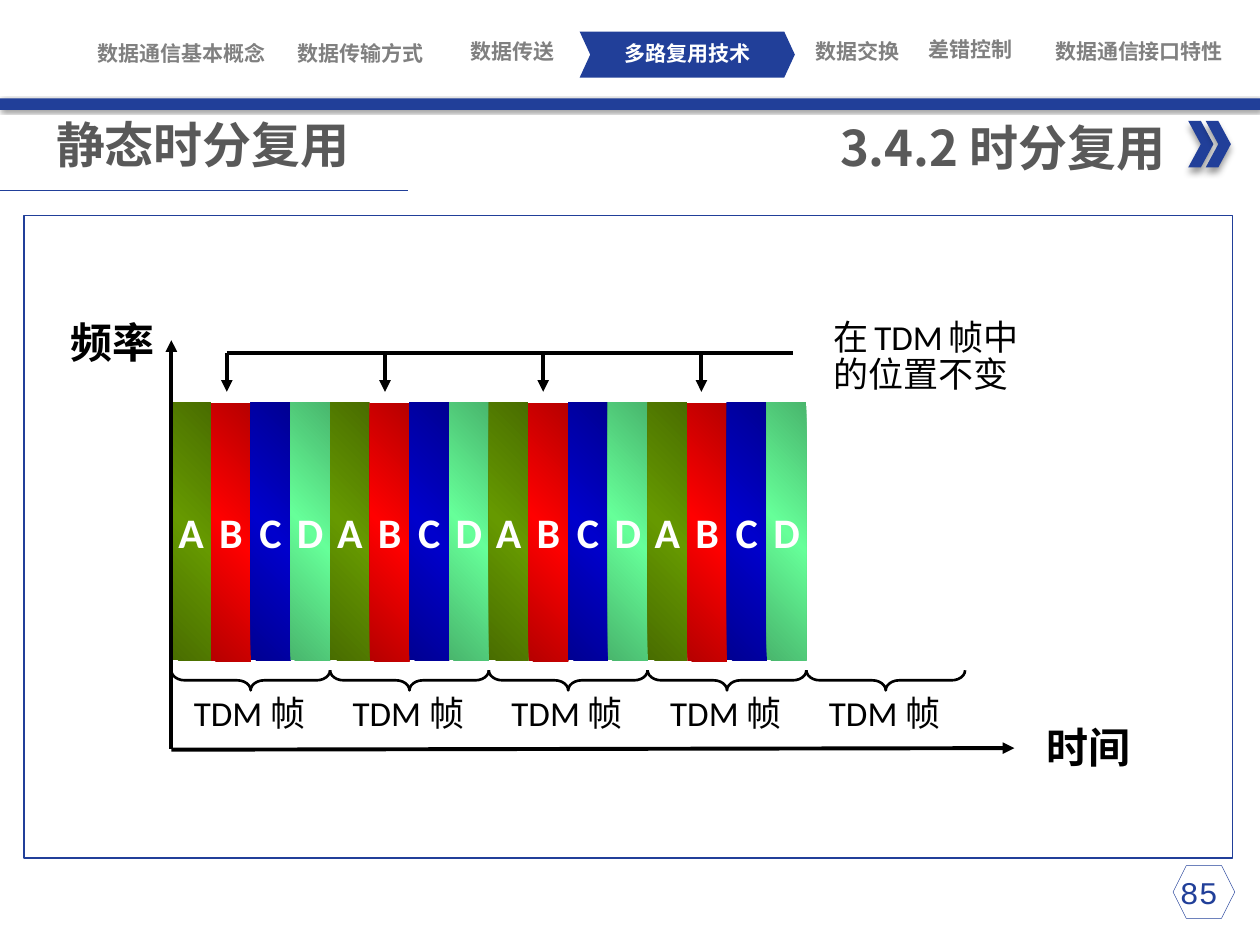
from copy import deepcopy
from dataclasses import dataclass

from lxml import etree
from pptx import Presentation
from pptx.dml.color import RGBColor
from pptx.enum import shapes, text
from pptx.oxml import ns
from pptx.util import Pt

Kind = shapes.MSO_SHAPE
Side = text.PP_ALIGN
Hold = text.MSO_ANCHOR


@dataclass(frozen=True)
class Theme:
    blue: str = "213F99"
    gray: str = "808080"
    dark: str = "595959"
    black: str = "000000"
    white: str = "FFFFFF"
    han: str = "Noto Sans CJK SC"
    body: str = "Calibri"
    menu: str = "Roboto Condensed"
    mono: str = "Courier New"
    head: float = 28
    name: float = 24
    note: float = 20
    gap: float = 14
    page: float = 18
    tab: float = 12


@dataclass(frozen=True)
class Box:
    x: float
    y: float
    w: float
    h: float

    def pts(self) -> tuple:
        return Pt(self.x), Pt(self.y), Pt(self.w), Pt(self.h)


@dataclass(frozen=True)
class Style:
    size: float
    font: str
    ink: str
    bold: bool = False


@dataclass(frozen=True)
class Tab:
    label: str
    box: Box
    live: bool = False


@dataclass(frozen=True)
class Slot:
    label: str
    edge: str
    core: str
    drop: float = 0


@dataclass(frozen=True)
class Shade:
    blur: float
    dist: float
    turn: int


T = Theme()
TABS = [
    Tab("数据通信基本概念", Box(51.5, 23, 104.4, 14.4)),
    Tab("数据传输方式", Box(154, 23, 104.4, 14.4)),
    Tab("数据传送", Box(247, 22.3, 91.4, 14.4)),
    Tab("多路复用技术", Box(340.6, 23, 104.4, 14.4), True),
    Tab("数据交换", Box(437.8, 22.3, 104.4, 14.4)),
    Tab("差错控制", Box(502.6, 20.9, 104.4, 14.4)),
    Tab("数据通信接口特性", Box(581.8, 22.3, 138.2, 14.4)),
]
SLOTS = [
    Slot("A", "496D00", "669900"),
    Slot("B", "B60000", "FF0000", 0.5),
    Slot("C", "000092", "0000CC"),
    Slot("D", "49B66D", "66FF99"),
]
LEFT, FRAME, FULL = 97.92, 90.72, 4
STEP = FRAME / len(SLOTS)


def add_run(para, words: str, style: Style) -> None:
    run = para.add_run()
    run.text = words
    font = run.font
    font.size, font.name, font.bold = Pt(style.size), style.font, style.bold
    font.color.rgb = RGBColor.from_string(style.ink)
    east = etree.SubElement(run._r.get_or_add_rPr(), ns.qn("a:ea"))
    east.set("typeface", T.han)


def add_text(slide, box: Box, rows: list, side=Side.LEFT, pad: bool = True,
             wrap: bool = False, pitch: float = 1.0):
    frame = slide.shapes.add_textbox(*box.pts()).text_frame
    frame.word_wrap = wrap
    if not pad:
        frame.margin_left = frame.margin_right = Pt(0)
        frame.margin_top = frame.margin_bottom = Pt(0)
        frame.vertical_anchor = Hold.MIDDLE
    for i, row in enumerate(rows):
        para = frame.add_paragraph() if i else frame.paragraphs[0]
        para.alignment, para.line_spacing = side, pitch
        for words, style in row:
            add_run(para, words, style)


def add_shape(slide, kind, box: Box, fill: str = "", line: str = "", width: float = 0):
    shape = slide.shapes.add_shape(kind, *box.pts())
    shape.shadow.inherit = False
    if fill:
        shape.fill.solid()
        shape.fill.fore_color.rgb = RGBColor.from_string(fill)
    else:
        shape.fill.background()
    if line:
        shape.line.color.rgb = RGBColor.from_string(line)
        shape.line.width = Pt(width)
    else:
        shape.line.fill.background()
    return shape


def add_shade(shape, shade: Shade) -> None:
    effect = shape._element.spPr.find(ns.qn("a:effectLst"))
    outer = etree.SubElement(effect, ns.qn("a:outerShdw"), blurRad=str(int(Pt(shade.blur))),
                             dist=str(int(Pt(shade.dist))), dir=str(shade.turn * 60000),
                             algn="tl", rotWithShape="0")
    color = etree.SubElement(outer, ns.qn("a:srgbClr"), val=T.black)
    etree.SubElement(color, ns.qn("a:alpha"), val="40000")


def add_line(slide, x: float, y: float, to_x: float, to_y: float, ink: str = T.black,
             width: float = 2.25, arrow: bool = False) -> None:
    line = slide.shapes.add_connector(shapes.MSO_CONNECTOR.STRAIGHT,
                                      Pt(x), Pt(y), Pt(to_x), Pt(to_y))
    line.line.color.rgb = RGBColor.from_string(ink)
    line.line.width = Pt(width)
    if arrow:
        etree.SubElement(line.line._get_or_add_ln(), ns.qn("a:tailEnd"), type="triangle")
    etree.SubElement(line._element.spPr, ns.qn("a:effectLst"))


def add_slot(slide, slot: Slot, x: float) -> None:
    bar = add_shape(slide, Kind.RECTANGLE, Box(x, 229.8 + slot.drop, STEP, 147.6))
    bar.fill.gradient()
    bar.fill.gradient_angle = 45
    stops = bar._element.spPr.find(ns.qn("a:gradFill")).find(ns.qn("a:gsLst"))
    stops.append(deepcopy(stops[0]))
    inks = (slot.edge, slot.core, slot.edge)
    for stop, ink, place in zip(bar.fill.gradient_stops, inks, (0, 0.5, 1)):
        stop.color.rgb = RGBColor.from_string(ink)
        stop.position = place
    frame = bar.text_frame
    frame.word_wrap, frame.vertical_anchor = False, Hold.MIDDLE
    frame.paragraphs[0].alignment = Side.CENTER
    add_run(frame.paragraphs[0], slot.label, Style(T.name, T.body, T.white, True))


def add_frame(slide, x: float) -> None:
    add_text(slide, Box(x + 5.8, 394.6, 86.4, 28.8),
             [[("TDM 帧", Style(T.note, T.body, T.black))]], pitch=0.9)
    mid = x + FRAME / 2
    brace = add_shape(slide, Kind.LEFT_BRACE, Box(mid - 5.75, 343.4, 11.5, FRAME),
                      line=T.black, width=1.5)
    brace.rotation = 270
    brace.adjustments[0] = 0.67


def add_head(slide) -> None:
    add_shape(slide, Kind.CHEVRON, Box(331.2, 18, 123, 26.4), T.blue).adjustments[0] = 0.23
    for tab in TABS:
        ink = T.white if tab.live else T.gray
        add_text(slide, tab.box, [[(tab.label, Style(T.tab, T.menu, ink, True))]],
                 Side.CENTER, pad=False, wrap=True)
    bar = add_shape(slide, Kind.RECTANGLE, Box(0, 56.2, 720, 6.6), T.blue)
    add_shade(bar, Shade(2, 1, 45))
    for x in (679, 689):
        mark = add_shape(slide, Kind.CHEVRON, Box(x, 69.1, 14.4, 26.6), T.blue)
        add_shade(mark, Shade(4, 3, 90))
    style = Style(T.head, T.han, T.dark, True)
    add_text(slide, Box(460, 63.4, 213, 41), [[("3.4.2 时分复用", style)]], Side.RIGHT)
    add_line(slide, 0, 108.7, 233.3, 108.7, T.blue, 0.5)
    title = slide.shapes.title
    title.left, title.top, title.width, title.height = Box(0, 61.9, 344.9, 41).pts()
    frame = title.text_frame
    frame.auto_size, frame.vertical_anchor = text.MSO_AUTO_SIZE.NONE, Hold.TOP
    frame.margin_left = Pt(32)
    frame.paragraphs[0].alignment = Side.LEFT
    add_run(frame.paragraphs[0], "静态时分复用", style)


def add_plot(slide) -> None:
    add_shape(slide, Kind.RECTANGLE, Box(13.7, 123.1, 690.5, 367.2), line=T.blue, width=0.75)
    for i in range(FULL * len(SLOTS)):
        add_slot(slide, SLOTS[i % len(SLOTS)], LEFT + i * STEP)
    for i in range(FULL + 1):
        add_frame(slide, LEFT + i * FRAME)
    add_line(slide, LEFT, 428.4, 579.6, 427.5, arrow=True)
    add_line(slide, LEFT, 428, LEFT, 194.4, arrow=True)
    for label, x, y in (("频率", 33.1, 180.7), ("时间", 591.1, 411.8)):
        add_text(slide, Box(x, y, 63.4, 33.1),
                 [[(label, Style(T.name, T.han, T.black, True))]], pitch=0.9)
    add_line(slide, 129.6, 201.6, 452.9, 201.6)
    for i in range(FULL):
        x = 129.6 + i * 90.4
        add_line(slide, x, 201.6, x, 223.9, arrow=True)
    big, thin = Style(T.note, T.body, T.black), Style(T.gap, T.body, T.black)
    add_text(slide, Box(469.4, 179.3, 155.5, 50.4),
             [[("在", big), (" ", thin), ("TDM", big), (" ", thin), ("帧中", big)],
              [("的位置不变", big)]], wrap=True, pitch=0.9)


def add_foot(slide) -> None:
    add_text(slide, Box(653.8, 495.4, 62.6, 28.8),
             [[("85", Style(T.page, T.mono, T.blue))]], Side.CENTER, wrap=True)
    add_shape(slide, Kind.HEXAGON, Box(670.3, 494.6, 35.3, 30.2), line=T.blue, width=0.25)


def main() -> None:
    deck = Presentation()
    deck.slide_width, deck.slide_height = Pt(720), Pt(540)
    slide = deck.slides.add_slide(deck.slide_layouts[5])
    add_head(slide)
    add_plot(slide)
    add_foot(slide)
    deck.save("out.pptx")


if __name__ == "__main__":
    main()
